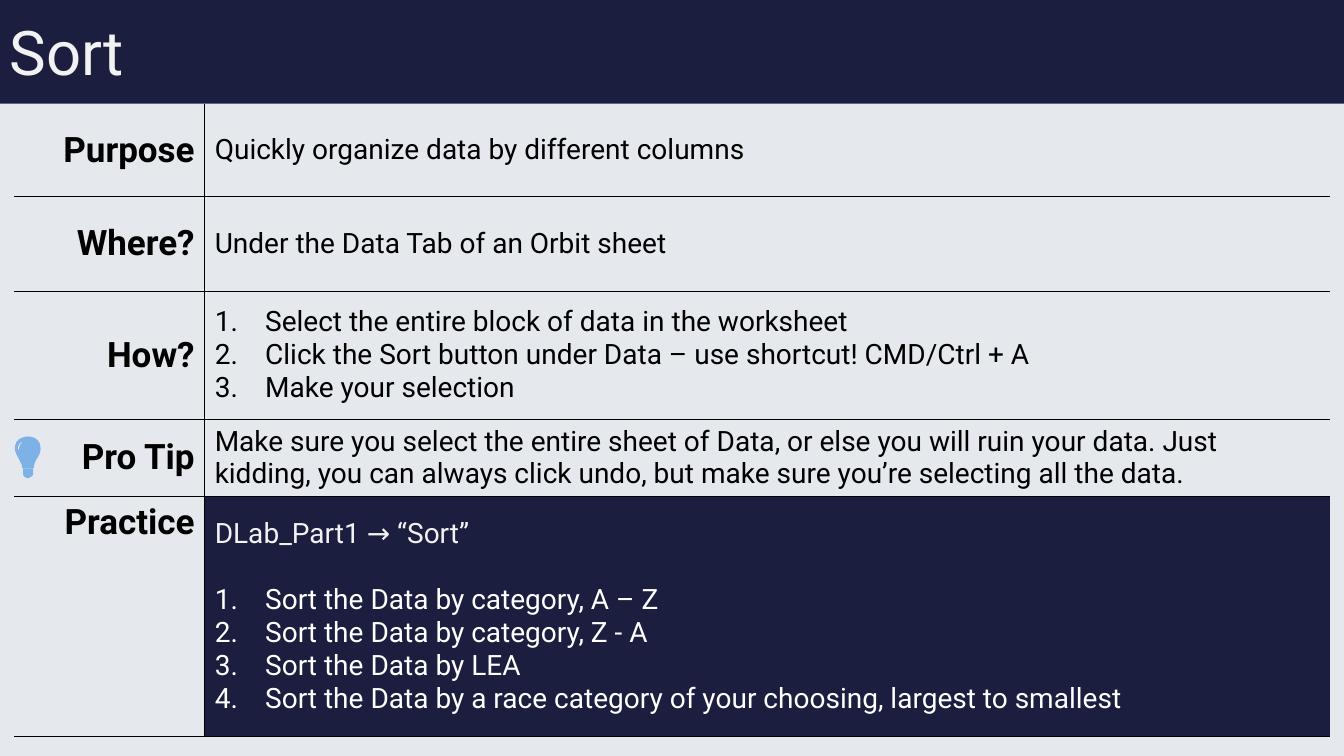
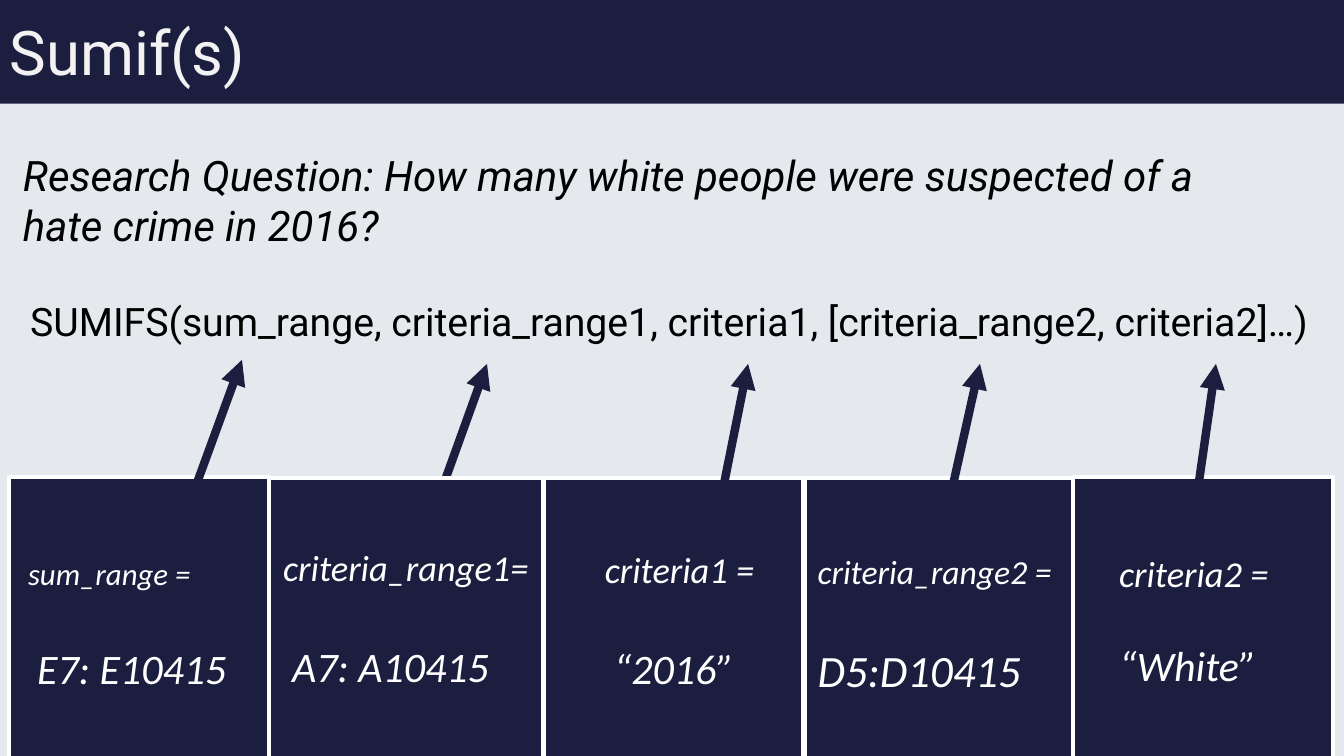
from lxml import etree
from pptx import Presentation
from pptx.dml.color import RGBColor
from pptx.enum.shapes import MSO_CONNECTOR, MSO_SHAPE
from pptx.enum.text import MSO_ANCHOR, PP_ALIGN
from pptx.oxml.ns import qn
from pptx.util import Pt

PX = 9144
W, H = 1333, 750
RECT, STRAIGHT = MSO_SHAPE.RECTANGLE, MSO_CONNECTOR.STRAIGHT
TOP, MIDDLE = MSO_ANCHOR.TOP, MSO_ANCHOR.MIDDLE
LEFT, CENTER, RIGHT = PP_ALIGN.LEFT, PP_ALIGN.CENTER, PP_ALIGN.RIGHT
NO_STYLE = "{2D5ABB26-0587-4C30-8999-92F81FD0307C}"
COLORS = {"paper": "E5E9EE", "navy": "1B1E3E", "pale": "F2F2F2",
          "white": "FFFFFF", "black": "000000", "bulb": "7EB2E6"}


def emu(*lengths):
    return [round(v * PX) for v in lengths]


def rgb(name):
    return RGBColor.from_string(COLORS[name])


def bezier(start, *curves, steps=8):
    points = [start]
    for a, b, c in curves:
        o = points[-1]
        for i in range(1, steps + 1):
            t = i / steps
            u = 1 - t
            points.append(tuple(
                u**3 * o[k] + 3 * u * u * t * a[k] + 3 * u * t * t * b[k] + t**3 * c[k]
                for k in (0, 1)))
    return points


class Deck:
    """Shared slide style and the drawing methods for the current slide."""

    def __init__(self):
        self.prs = Presentation()
        self.prs.slide_width, self.prs.slide_height = emu(W, H)
        self.s = None

    def slide(self, title):
        self.s = self.prs.slides.add_slide(self.prs.slide_layouts[6])
        self.rect(0, 0, W, H, "paper")
        self.rect(0, 0, W, 103, "navy")
        self.text(0, -17, 1150, 145, [dict(text=title, size=44, color="pale", spacing=0.9)], MIDDLE)

    def rect(self, x, y, w, h, fill, line=None):
        sp = self.s.shapes.add_shape(RECT, *emu(x, y, w, h))
        self.paint(sp, fill)
        if line:
            sp.line.color.rgb = rgb(line)
            sp.line.width = Pt(3)

    def paint(self, sp, fill):
        sp.shadow.inherit = False
        sp.fill.solid()
        sp.fill.fore_color.rgb = rgb(fill)
        sp.line.fill.background()

    def text(self, x, y, w, h, paras, anchor=TOP):
        tf = self.s.shapes.add_textbox(*emu(x, y, w, h)).text_frame
        tf.word_wrap = True
        tf.vertical_anchor = anchor
        self.fill_text(tf, paras)

    def fill_text(self, tf, paras):
        for i, para in enumerate(paras):
            p = tf.add_paragraph() if i else tf.paragraphs[0]
            r = p.add_run()
            r.text = para["text"]
            r.font.color.rgb = rgb(para.get("color", "black"))
            font = {"name": para.get("font", "Roboto"), "size": Pt(para["size"]),
                    "bold": para.get("bold", False), "italic": para.get("italic", False)}
            for key, value in font.items():
                setattr(r.font, key, value)
            layout = {"alignment": para.get("align", LEFT), "space_before": Pt(para.get("before", 0)),
                      "line_spacing": para.get("spacing", 1.0)}
            for key, value in layout.items():
                setattr(p, key, value)
            pPr = p._p.get_or_add_pPr()
            pPr.set("marL", str(para.get("indent", 0) * PX))
            if para.get("numbered"):
                pPr.set("indent", str(-para["indent"] * PX))
                etree.SubElement(pPr, qn("a:buAutoNum"), type="arabicPeriod")

    def border(self, cell, *sides):
        tcPr = cell._tc.get_or_add_tcPr()
        for i, side in enumerate(sides):
            ln = etree.Element(qn("a:" + side), w=str(Pt(1)))
            fill = etree.SubElement(ln, qn("a:solidFill"))
            etree.SubElement(fill, qn("a:srgbClr"), val=COLORS["black"])
            tcPr.insert(i, ln)

    def table(self, x, y, widths, rows):
        heights = [row["height"] for row in rows]
        frame = self.s.shapes.add_table(len(rows), len(widths),
                                        *emu(x, y, sum(widths), sum(heights)))
        frame._element.find(".//" + qn("a:tableStyleId")).text = NO_STYLE
        table = frame.table
        table.first_row = table.horz_banding = False
        for col, width in zip(table.columns, emu(*widths)):
            col.width = width
        for i, row in enumerate(rows):
            table.rows[i].height = emu(row["height"])[0]
            label, body = table.cell(i, 0), table.cell(i, 1)
            label.vertical_anchor, body.vertical_anchor = row.get("anchor", MIDDLE), MIDDLE
            label.fill.background()
            if "fill" in row:
                body.fill.solid()
                body.fill.fore_color.rgb = rgb(row["fill"])
            else:
                body.fill.background()
            self.fill_text(label.text_frame, [dict(text=row["label"], size=25, bold=True, align=RIGHT)])
            self.fill_text(body.text_frame, row["body"])
            self.border(label, "lnR", "lnB")
            self.border(body, "lnL", "lnB")

    def arrow(self, x1, y1, x2, y2):
        line = self.s.shapes.add_connector(STRAIGHT, *emu(x1, y1, x2, y2))
        line.line.color.rgb = rgb("navy")
        line.line.width = Pt(6)
        etree.SubElement(line.line._get_or_add_ln(), qn("a:tailEnd"), type="triangle")
        etree.SubElement(line._element.spPr, qn("a:effectLst"))

    def outline(self, fill, *contours):
        first, *others = [[emu(*point) for point in contour] for contour in contours]
        builder = self.s.shapes.build_freeform(*first[0])
        builder.add_line_segments(first[1:])
        for contour in others:
            builder.move_to(*contour[0])
            builder.add_line_segments(contour[1:])
        self.paint(builder.convert_to_shape(), fill)


def body(text, **style):
    return dict(text=text, size=20, **style)


def steps(*texts, **style):
    return [body(text, numbered=True, indent=50, **style) for text in texts]


def sort_slide(d):
    d.slide("Sort")
    practice = steps("Sort the Data by category, A – Z", "Sort the Data by category, Z - A",
                     "Sort the Data by LEA",
                     "Sort the Data by a race category of your choosing, largest to smallest",
                     color="white")
    practice[0]["before"] = 23.4
    d.table(14, 103, [189, 1116], [
        dict(label="Purpose", height=92, body=[body("Quickly organize data by different columns")]),
        dict(label="Where?", height=94, body=[body("Under the Data Tab of an Orbit sheet")]),
        dict(label="How?", height=127, body=steps(
            "Select the entire block of data in the worksheet",
            "Click the Sort button under Data – use shortcut! CMD/Ctrl + A",
            "Make your selection")),
        dict(label="Pro Tip", height=75, body=[body(
            "Make sure you select the entire sheet of Data, or else you will ruin your data. "
            "Just kidding, you can always click undo, but make sure you’re selecting all the data.")]),
        dict(label="Practice", height=238, anchor=TOP, fill="navy",
             body=[body("DLab_Part1 → “Sort”", color="pale")] + practice),
    ])
    glass = bezier(
        (32, 465), ((34, 465), (34, 463), (34, 462)), ((34, 460), (35, 458), (36, 456)),
        ((39, 452), (41, 447), (40, 443)), ((40, 441), (40, 441), (39, 439)),
        ((35, 431), (21, 431), (16, 439)), ((16, 441), (15, 441), (15, 443)),
        ((14, 447), (17, 452), (19, 456)), ((20, 458), (21, 460), (22, 462)),
        ((22, 463), (22, 465), (23, 465)))
    shine = bezier((18, 446), ((18, 446), (17, 441), (21, 439)),
                   ((22, 438), (23, 439), (21, 440)), ((19, 442), (19, 445), (19, 446)))
    d.outline("bulb", bezier((25, 473), ((26, 475), (29, 475), (30, 473))))
    d.outline("bulb", glass, shine)
    d.outline("bulb", [(23, 465), (33, 465), (33, 471), (31, 473), (24, 473), (23, 471)])


def sumifs_slide(d):
    d.slide("Sumif(s)")
    d.text(13, 143, 1200, 111, [dict(
        text="Research Question: How many white people were suspected of a hate crime in 2016?",
        size=30, italic=True)])
    d.text(5, 290, 1317, 57, [dict(
        text="SUMIFS(sum_range, criteria_range1, criteria1, [criteria_range2, criteria2]…)",
        size=28, align=CENTER)])
    d.arrow(412, 558, 483, 361)
    for x, y, w in [(9, 473, 258), (267, 474, 273), (539, 474, 258), (798, 474, 274), (1064, 473, 258)]:
        d.rect(x, y, w, 281, "navy", "white")
    for ends in [(183, 513, 240, 357), (693, 605, 742, 361), (918, 603, 972, 361), (1186, 500, 1206, 361)]:
        d.arrow(*ends)
    arguments = [
        (18, 545, 237, "sum_range =", 22, "E7: E10415", 30, 9, 36.6),
        (271, 536, 273, "criteria_range1=", 26, "A7: A10415", 30, 9, 36.6),
        (590, 538, 172, "criteria1 =", 26, "“2016”", 30, 9, 36.6),
        (801, 542, 289, "criteria_range2 =", 24, "D5:D10415", 32, 0, 36.6),
        (1100, 542, 222, "criteria2 =", 26, "“White”", 30, 0, 31.7),
    ]
    style = dict(font="Calibri", color="white", italic=True)
    for x, y, w, name, name_size, value, value_size, indent, gap in arguments:
        d.text(x, y, w, 150, [
            dict(text=name, size=name_size, **style),
            dict(text=value, size=value_size, indent=indent, before=gap, **style)])


def main():
    d = Deck()
    sort_slide(d)
    sumifs_slide(d)
    d.prs.save("out.pptx")


if __name__ == "__main__":
    main()
